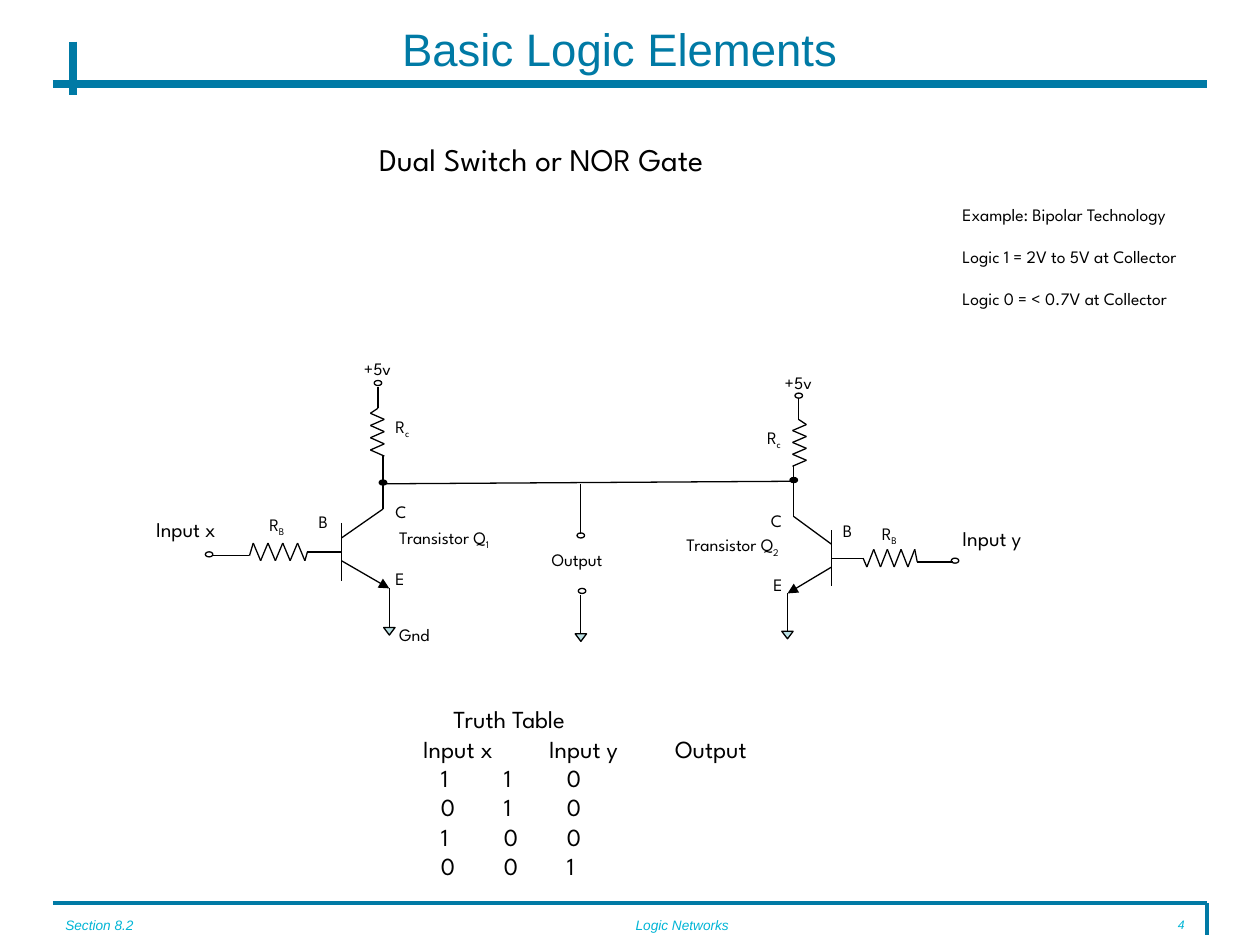
"""Build a slide on the NOR gate: its circuit and its truth table."""
import itertools
import lxml.etree
import pptx
import pptx.dml.color
import pptx.enum.shapes
import pptx.enum.text
import pptx.oxml.ns
import pptx.util

Inches = pptx.util.Inches
Pt = pptx.util.Pt
Align = pptx.enum.text.PP_ALIGN
Shape = pptx.enum.shapes.MSO_SHAPE

THEME = {
    "rule": "007AA5", "foot": "00B5D6", "ink": "000000", "ground": "BBE0E3",
    "sans": "Arial", "body": "League Spartan",
    "title": 26, "head": 18, "table": 14, "input": 12, "label": 10, "footer": 7.8, "page": 7,
    "wire": 0.75, "thin": 2.25, "thick": 4.5,
}

TITLE = "Basic Logic Elements"
HEAD = "Dual Switch or NOR Gate"
NOTES = ["Example: Bipolar Technology", "Logic 1 = 2V to 5V at Collector", "Logic 0 = < 0.7V at Collector"]
FOOTER = [
    ("Section 8.2", 0.42, 1.75, Align.LEFT, "footer"),
    ("Logic Networks", 3.33, 4.17, Align.CENTER, "footer"),
    ("4", 8.75, 0.75, Align.RIGHT, "page"),
]
RULES = [
    ((0.42, 7.17), (9.58, 7.17), "thin"),
    ((9.58, 7.17), (9.58, 7.42), "thin"),
    ((0.42, 0.67), (9.58, 0.67), "thick"),
    ((0.58, 0.33), (0.58, 0.75), "thick"),
]
TRUTH = [
    ([0.24], ["Truth Table"]),
    ([0, 1, 1.93], ["Input x", "Input y", "Output"]),
    ([0.14, 1.02, 2.2], ["1", "1", "0"]),
    ([0.14, 1.07, 1.95], ["0", "1", "0"]),
    ([0.14, 1.02, 1.95], ["1", "0", "0"]),
    ([0.14, 1.07, 2], ["0", "0", "1"]),
]
LABELS = [
    ("C", "", 3.04, 3.93, 0.29), ("E", "", 3.04, 4.46, 0.27), ("B", "", 2.43, 4.01, 0.29),
    ("Transistor Q", "1", 3.07, 4.13, 1.04), ("Gnd", "", 3.07, 4.9, 0.47),
    ("+5v", "", 2.79, 2.79, 0.43), ("R", "c", 3.04, 3.25, 0.32), ("R", "B", 2.04, 4.03, 0.34),
    ("C", "", 6.02, 4, 0.29), ("E", "", 6.04, 4.51, 0.27), ("B", "", 6.59, 4.08, 0.29),
    ("Transistor Q", "2", 5.35, 4.19, 1.04), ("+5v", "", 6.13, 2.9, 0.43),
    ("R", "c", 5.99, 3.34, 0.32), ("R", "B", 6.9, 4.1, 0.34), ("Output", "", 4.28, 4.31, 0.66),
]
INPUTS = [("Input x", 1.14, 4.05), ("Input y", 7.54, 4.12)]
PINS = [(3, 3.04), (1.66, 4.4), (6.34, 3.14), (7.58, 4.45), (4.61, 4.25), (4.62, 4.69)]
JOINTS = [(3.04, 3.83), (6.3, 3.81)]
GROUNDS = [(3.09, 5.01), (6.25, 5.04), (4.61, 5.06)]
ARROWS = [((2.71, 4.45), (3.09, 4.67)), ((6.6, 4.5), (6.25, 4.71))]


def zigzag(start, end, axis, count=8):
    """Return points that run along one axis and swing across the other."""
    points = []
    for step in range(count):
        point = list(end if step % 2 else start)
        point[axis] = start[axis] + (end[axis] - start[axis]) * step / (count - 1)
        points.append(tuple(point))
    return points


WIRES = [
    [(3, 3.07), (3, 3.24), *zigzag((2.94, 3.28), (3.05, 3.62), 1), (3.04, 3.62), (3.04, 4.04), (2.71, 4.27)],
    [(6.34, 3.16), (6.34, 3.33), *zigzag((6.4, 3.37), (6.29, 3.7), 1), (6.3, 3.7), (6.3, 4.1), (6.6, 4.32)],
    [(1.68, 4.41), (1.98, 4.41), *zigzag((2.01, 4.31), (2.42, 4.45), 0), (2.44, 4.38), (2.71, 4.38)],
    [(7.56, 4.46), (7.28, 4.46), *zigzag((7.26, 4.36), (6.88, 4.5), 0), (6.85, 4.43), (6.6, 4.43)],
    [(2.71, 4.15), (2.71, 4.61)],
    [(6.6, 4.21), (6.6, 4.65)],
    [(3.09, 4.67), (3.09, 5)],
    [(6.25, 4.71), (6.25, 5.03)],
    [(6.27, 3.82), (3.04, 3.84)],
    [(4.61, 3.84), (4.61, 4.24)],
    [(4.61, 4.72), (4.61, 5.03)],
]


def tint(name):
    """Return a theme colour."""
    return pptx.dml.color.RGBColor.from_string(THEME[name])


def write(par, text, size, face="body", color="ink", italic=False, sub=False):
    """Add one styled run to a paragraph."""
    run = par.add_run()
    run.text = text
    run.font.size = Pt(THEME[size])
    run.font.name = THEME[face]
    run.font.color.rgb = tint(color)
    run.font.italic = italic
    if sub:
        run._r.get_or_add_rPr().set("baseline", "-25000")


def box(slide, left, top, width, height, wrap=False):
    """Add a text box and return its frame."""
    frame = slide.shapes.add_textbox(Inches(left), Inches(top), Inches(width), Inches(height)).text_frame
    frame.word_wrap = wrap
    return frame


def lines(frame, count):
    """Yield the paragraphs of a frame, adding those it lacks."""
    for index in range(count):
        yield frame.add_paragraph() if index else frame.paragraphs[0]


def wire(slide, start, end, color="ink", weight="wire", arrow=False):
    """Draw a straight line, with an arrowhead at its end if asked."""
    ends = [Inches(value) for value in (*start, *end)]
    line = slide.shapes.add_connector(pptx.enum.shapes.MSO_CONNECTOR.STRAIGHT, *ends)
    line.line.color.rgb = tint(color)
    line.line.width = Pt(THEME[weight])
    if arrow:
        lxml.etree.SubElement(line.line._get_or_add_ln(), pptx.oxml.ns.qn("a:tailEnd"), type="triangle")
    lxml.etree.SubElement(line._element.spPr, pptx.oxml.ns.qn("a:effectLst"))


def mark(slide, kind, center, width, height, fill=None):
    """Draw a small symbol around a point."""
    left, top = center[0] - width / 2, center[1] - height / 2
    shape = slide.shapes.add_shape(kind, Inches(left), Inches(top), Inches(width), Inches(height))
    shape.shadow.inherit = False
    shape.line.color.rgb = tint("ink")
    shape.line.width = Pt(THEME["wire"])
    if fill:
        shape.fill.solid()
        shape.fill.fore_color.rgb = tint(fill)
    else:
        shape.fill.background()
    return shape


def frame_page(slide):
    """Place the rules, the footer and the title."""
    for start, end, weight in RULES:
        wire(slide, start, end, "rule", weight)
    for text, left, width, align, size in FOOTER:
        par = box(slide, left, 7.25, width, 0.25, True).paragraphs[0]
        par.alignment = align
        par.line_spacing = 0.8
        write(par, text, size, "sans", "foot", True)
    title = slide.shapes.title
    title.left, title.top, title.width, title.height = map(Inches, (0.67, 0.17, 8.5, 0.42))
    title.text_frame.auto_size = pptx.enum.text.MSO_AUTO_SIZE.NONE
    title.text_frame.vertical_anchor = pptx.enum.text.MSO_ANCHOR.MIDDLE
    title.text_frame.paragraphs[0].alignment = Align.CENTER
    write(title.text_frame.paragraphs[0], TITLE, "title", "sans", "rule")


def add_words(slide):
    """Place the heading, the notes and the truth table."""
    write(box(slide, 2.91, 1.06, 3.11, 0.4).paragraphs[0], HEAD, "head")
    frame = box(slide, 7.54, 1.57, 2.23, 1.1, True)
    for par, note in zip(lines(frame, len(NOTES)), NOTES):
        par.space_after = Pt(12)
        write(par, note, "label")
    frame = box(slide, 3.26, 5.54, 2.9, 1.5, True)
    for par, (stops, cells) in zip(lines(frame, len(TRUTH)), TRUTH):
        props = par._p.get_or_add_pPr()
        props.set("marL", str(Inches(stops[0])))
        props.set("indent", "0")
        tabs = lxml.etree.SubElement(props, pptx.oxml.ns.qn("a:tabLst"))
        for stop in stops[1:]:
            lxml.etree.SubElement(tabs, pptx.oxml.ns.qn("a:tab"), pos=str(Inches(stop)), algn="l")
        write(par, "\t".join(cells), "table")


def add_circuit(slide):
    """Draw the wires, the symbols and their labels."""
    for points in WIRES:
        for start, end in itertools.pairwise(points):
            wire(slide, start, end)
    for start, end in ARROWS:
        wire(slide, start, end, arrow=True)
    for point in PINS:
        mark(slide, Shape.OVAL, point, 0.06, 0.04)
    for point in JOINTS:
        mark(slide, Shape.OVAL, point, 0.06, 0.04, "ink")
    for point in GROUNDS:
        mark(slide, Shape.ISOSCELES_TRIANGLE, point, 0.09, 0.06, "ground").rotation = 180
    for text, sub, left, top, width in LABELS:
        par = box(slide, left, top, width, 0.29 if sub else 0.27).paragraphs[0]
        write(par, text, "label")
        if sub:
            write(par, sub, "label", sub=True)
    for text, left, top in INPUTS:
        write(box(slide, left, top, 0.75, 0.3).paragraphs[0], text, "input")


def main():
    """Build and save the deck."""
    deck = pptx.Presentation()
    deck.slide_width, deck.slide_height = Inches(10), Inches(7.5)
    slide = deck.slides.add_slide(deck.slide_layouts[5])
    frame_page(slide)
    add_words(slide)
    add_circuit(slide)
    deck.save("out.pptx")


if __name__ == "__main__":
    main()
